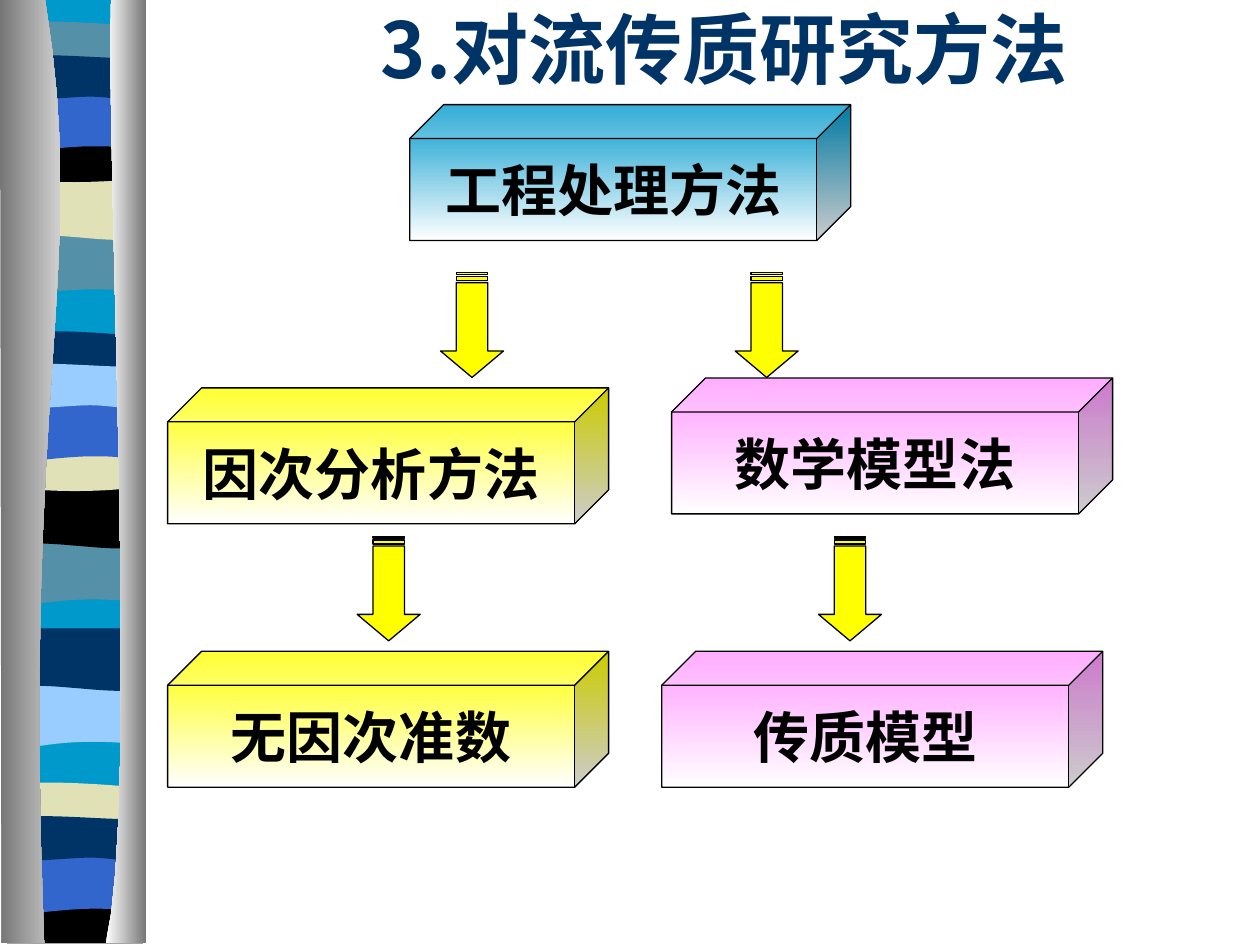
from dataclasses import dataclass
from typing import NamedTuple

from lxml.etree import SubElement
from pptx import Presentation
from pptx.dml.color import RGBColor
from pptx.enum.shapes import MSO_SHAPE
from pptx.enum.text import MSO_ANCHOR, MSO_AUTO_SIZE, PP_ALIGN
from pptx.oxml.ns import qn
from pptx.util import Cm, Pt


@dataclass(frozen=True)
class Theme:
    font: str = "Noto Sans CJK SC"
    title_size: int = 44
    label_size: int = 32
    line_width: float = 0.75
    black: str = "000000"
    white: str = "FFFFFF"
    navy: str = "003366"
    cyan: str = "0099CC"
    slate: str = "5490A8"
    sand: str = "E1E1B7"
    blue: str = "3366CC"
    sky: str = "99CCFF"
    yellow: str = "FFFF00"
    pink: str = "FF99FF"
    steel: str = "767676"
    silver: str = "D0D0D0"


class Outline(NamedTuple):
    start: tuple
    segments: tuple


class Band(NamedTuple):
    outline: Outline
    top: float
    color: str


class Column(NamedTuple):
    outline: Outline
    left_color: str
    right_color: str


class Block(NamedTuple):
    label: str
    left: float
    top: float
    color: str


class Arrow(NamedTuple):
    left: float
    top: float


THEME = Theme()
RIBBON_LEFT = 0.14
RIBBON_WIDTH = 2.74
CURVE_STEPS = 16
BLOCK_SIZE = (8.89, 2.74)
ARROW_SIZE = (2.11, 1.27)

W = RIBBON_WIDTH
BASE = Outline((W, 0), (((W, 18.97),), ((0, 18.97),), ((0, 0),)))
WAVE = Outline((W, 0), (((W, 1.19),), ((0.84, 0.99), (0.46, 1.4), (0, 1.19)), ((0, 0),)))
SWELL = Outline((W, 0), (((W, 1.19),), ((2.29, 1.4), (0.84, 1.04), (0, 1.19)), ((0, 0),)))
RIDGE = Outline((W, 0.13), (
    ((W, 0.74),), ((2.29, 0.84), (0.46, 0.84), (0, 0.74)), ((0, 0.13),),
    ((0.15, 0), (0.58, 0.03), (1.04, 0.03)), ((1.5, 0.03), (2.39, 0.1), (W, 0.13)),
))
DIP_TOP = ((1.68, 0.13), (2.16, 0), (W, 0))
DIP = Outline((W, 0), (
    ((W, 0.81),), ((2.29, 0.97), (0.46, 0.97), (0, 0.81)), ((0, 0),), DIP_TOP,
))
FLOOR = Outline((W, 0), (((W, 0.94),), ((0, 0.94),), ((0, 0),), DIP_TOP))
ARCH = Outline((W, 0), (
    ((W, 1.19),), ((2.31, 1.07), (2.13, 1.07), (1.68, 1.07)),
    ((1.22, 1.07), (0.41, 1.19), (0, 1.19)), ((0, 0),),
))
RIPPLE = Outline((W, 0.13), (
    ((W, 0.91),), ((2.57, 1.04), (2.13, 0.91), (1.68, 0.91)),
    ((1.22, 0.91), (0.28, 1.04), (0, 0.91)), ((0, 0.13),),
    ((0.38, 0), (1.85, 0.13), (2.31, 0.13)),
))

BANDS = (
    Band(BASE, 0, THEME.cyan),
    Band(WAVE, 4.7, THEME.slate),
    Band(SWELL, 3.58, THEME.sand),
    Band(RIDGE, 0.41, THEME.slate),
    Band(DIP, 2.74, THEME.black),
    Band(ARCH, 1.88, THEME.blue),
    Band(RIPPLE, 1.04, THEME.navy),
    Band(WAVE, 10.95, THEME.slate),
    Band(SWELL, 9.8, THEME.black),
    Band(RIDGE, 6.65, THEME.navy),
    Band(DIP, 8.97, THEME.sand),
    Band(ARCH, 8.13, THEME.blue),
    Band(RIPPLE, 7.26, THEME.sky),
    Band(WAVE, 13.82, THEME.sky),
    Band(SWELL, 12.67, THEME.navy),
    Band(RIDGE, 15.75, THEME.sand),
    Band(FLOOR, 18.08, THEME.black),
    Band(ARCH, 17.25, THEME.blue),
    Band(RIPPLE, 16.38, THEME.navy),
)
COLUMNS = (
    Column(Outline((0.91, 0), (
        ((1.8, 5.49), (0.43, 7.52), (0.89, 19.02)), ((0.03, 19.02),), ((0, 0),),
    )), THEME.steel, THEME.silver),
    Column(Outline((2.24, 0), (
        ((2.13, 3.18), (2.82, 16.41), (2.13, 19.02)), ((2.95, 19.02),), ((2.95, 0),),
    )), THEME.white, THEME.steel),
)
BLOCKS = (
    Block("工程处理方法", 8.26, 2.11, THEME.cyan),
    Block("因次分析方法", 3.38, 7.82, THEME.yellow),
    Block("无因次准数", 3.38, 13.13, THEME.yellow),
    Block("数学模型法", 13.54, 7.62, THEME.pink),
    Block("传质模型", 13.34, 13.13, THEME.pink),
)
ARROWS = (Arrow(8.46, 5.92), Arrow(6.78, 11.23), Arrow(14.4, 5.92), Arrow(16.08, 11.23))


def trace(outline: Outline) -> list:
    points = [outline.start]
    for segment in outline.segments:
        if len(segment) == 1:
            points.append(segment[0])
            continue
        corners = (points[-1], *segment)
        for step in range(1, CURVE_STEPS + 1):
            t = step / CURVE_STEPS
            weights = ((1 - t) ** 3, 3 * t * (1 - t) ** 2, 3 * t ** 2 * (1 - t), t ** 3)
            points.append(tuple(
                sum(weight * corner[axis] for weight, corner in zip(weights, corners))
                for axis in (0, 1)
            ))
    return points


def draw_outline(page, outline: Outline, left: float, top: float):
    points = [(Cm(left + x), Cm(top + y)) for x, y in trace(outline)]
    builder = page.shapes.build_freeform(*points[0])
    builder.add_line_segments(points[1:], close=True)
    shape = builder.convert_to_shape()
    shape.shadow.inherit = False
    shape.line.fill.background()
    return shape


def paint(shape, color: str) -> None:
    shape.fill.solid()
    shape.fill.fore_color.rgb = RGBColor.from_string(color)


def blend(shape, first: str, last: str, angle: int) -> None:
    shape.fill.gradient()
    shape.fill.gradient_angle = angle
    for stop, color in zip(shape.fill.gradient_stops, (first, last)):
        stop.color.rgb = RGBColor.from_string(color)


def draw_preset(page, kind, left: float, top: float, size: tuple):
    shape = page.shapes.add_shape(kind, Cm(left), Cm(top), Cm(size[0]), Cm(size[1]))
    shape.shadow.inherit = False
    shape.line.color.rgb = RGBColor.from_string(THEME.black)
    shape.line.width = Pt(THEME.line_width)
    return shape


def write(shape, text: str, size: int, color: str, wrap: bool) -> None:
    frame = shape.text_frame
    frame.text = text
    frame.word_wrap = wrap
    frame.auto_size = MSO_AUTO_SIZE.NONE
    frame.vertical_anchor = MSO_ANCHOR.MIDDLE
    para = frame.paragraphs[0]
    para.alignment = PP_ALIGN.CENTER
    span = para.runs[0]
    span.font.size = Pt(size)
    span.font.bold = True
    span.font.name = THEME.font
    span.font.color.rgb = RGBColor.from_string(color)
    SubElement(span._r.get_or_add_rPr(), qn("a:ea"), typeface=THEME.font)


def draw_block(page, block: Block) -> None:
    shape = draw_preset(page, MSO_SHAPE.CUBE, block.left, block.top, BLOCK_SIZE)
    blend(shape, block.color, THEME.white, 270)
    write(shape, block.label, THEME.label_size, THEME.black, wrap=False)


def draw_arrow(page, arrow: Arrow) -> None:
    shape = draw_preset(page, MSO_SHAPE.STRIPED_RIGHT_ARROW, arrow.left, arrow.top, ARROW_SIZE)
    shape.adjustments[1] = 0.42
    shape.rotation = 90
    paint(shape, THEME.yellow)


def main() -> None:
    deck = Presentation()
    deck.slide_width, deck.slide_height = Cm(25.4), Cm(19.05)
    page = deck.slides.add_slide(deck.slide_layouts[5])
    for band in BANDS:
        paint(draw_outline(page, band.outline, RIBBON_LEFT, band.top), band.color)
    for column in COLUMNS:
        shape = draw_outline(page, column.outline, 0, 0)
        blend(shape, column.left_color, column.right_color, 0)
    title = page.shapes.title
    title.left, title.top, title.width, title.height = Cm(3.81), Cm(0), Cm(21.59), Cm(1.91)
    write(title, "3.对流传质研究方法", THEME.title_size, THEME.navy, wrap=True)
    for block in BLOCKS:
        draw_block(page, block)
    for arrow in ARROWS:
        draw_arrow(page, arrow)
    deck.save("out.pptx")


if __name__ == "__main__":
    main()
